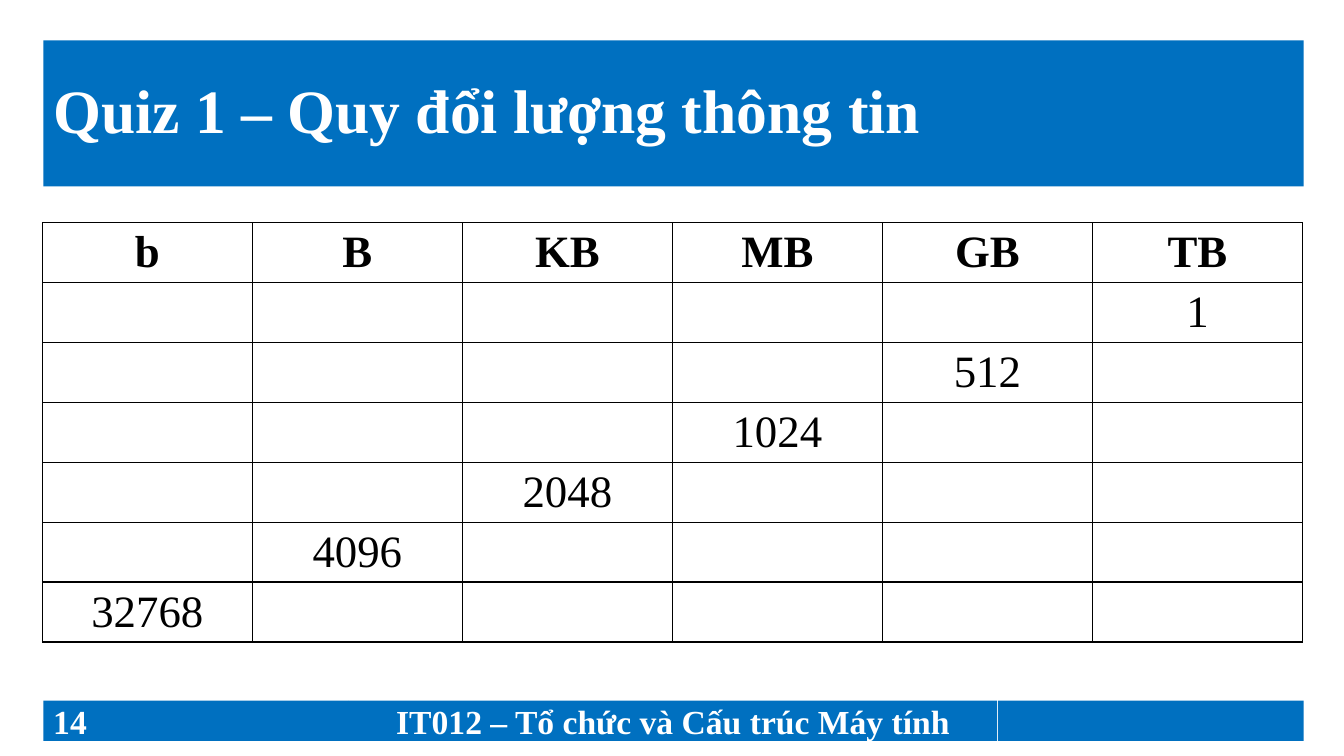
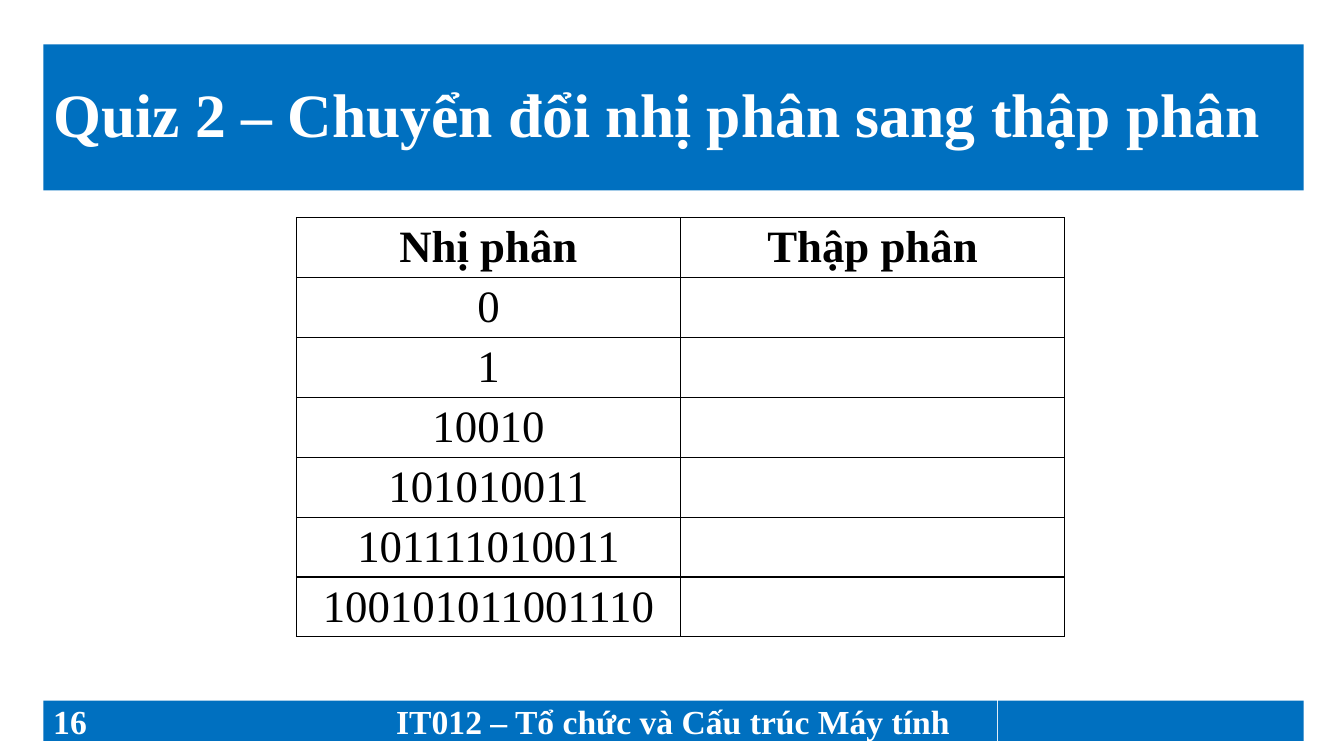
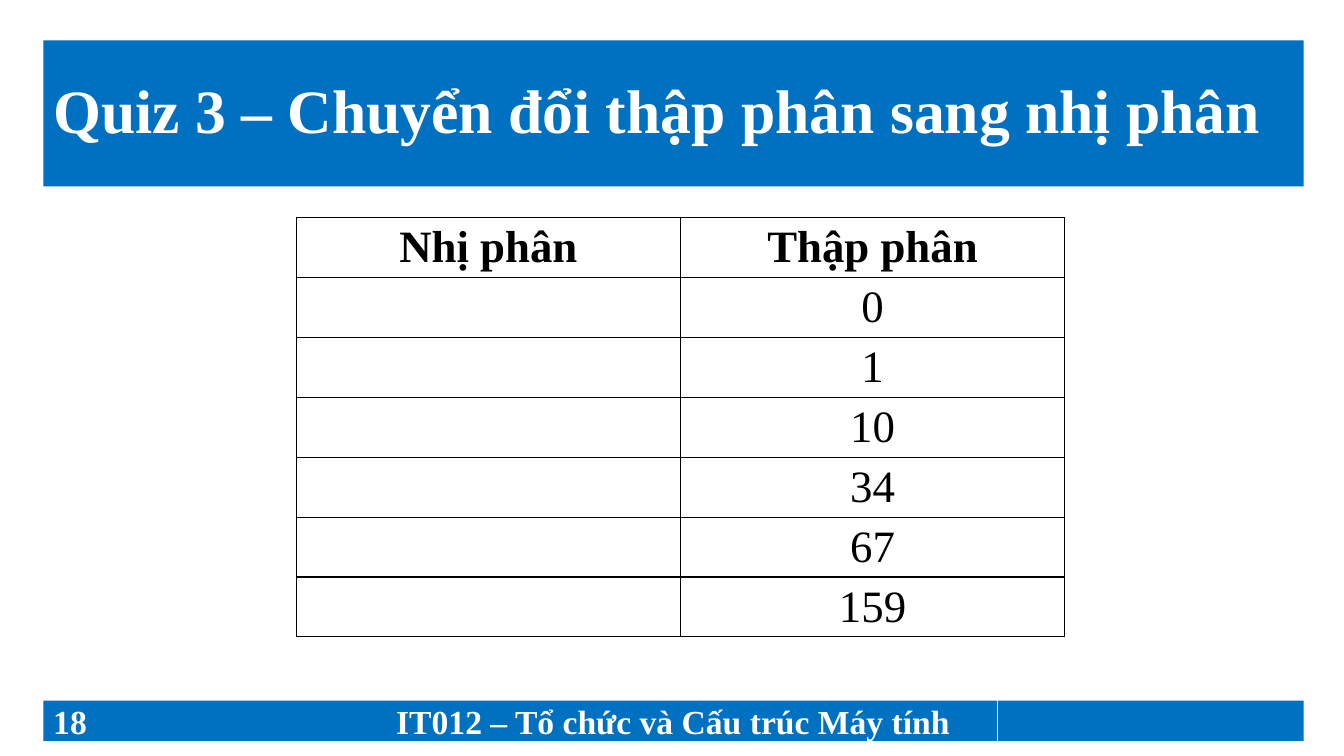
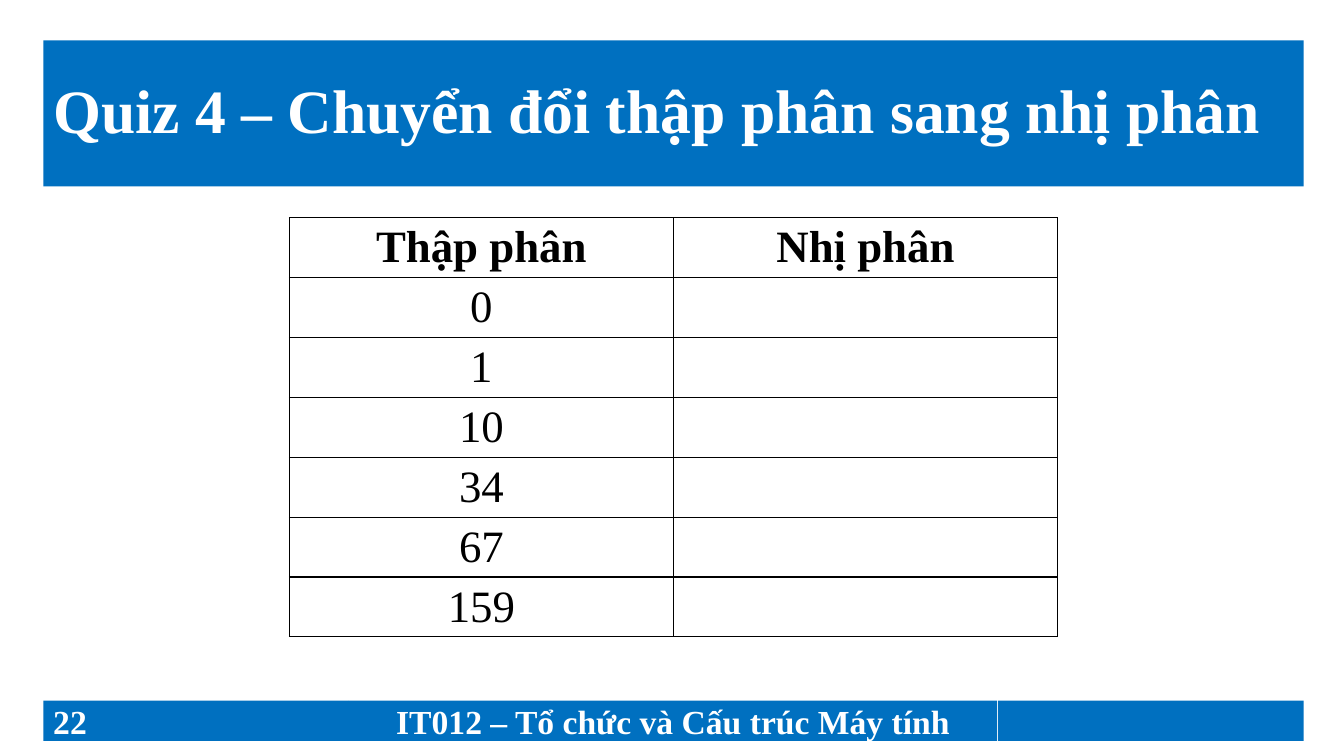
from lxml.etree import SubElement
from pptx import Presentation
from pptx.dml.color import RGBColor
from pptx.enum.shapes import MSO_SHAPE
from pptx.enum.text import MSO_ANCHOR, PP_ALIGN
from pptx.oxml.ns import qn
from pptx.util import Emu, Inches, Pt

# Grid: 100 columns and 100 rows to the inch.
UNIT = Inches(0.01)
WIDE, HIGH = 1333, 750
COLORS = {"band": "0070C0", "light": "FFFFFF", "ink": "000000"}
FACE = "Times New Roman"
TITLE = {"size": Pt(44), "bold": True, "name": FACE}
FOOT = {"size": Pt(24), "bold": True, "name": FACE}
HEAD = {"size": Pt(32), "bold": True, "name": FACE}
BODY = {**HEAD, "bold": False}

COURSE = "IT012 – Tổ chức và Cấu trúc Máy tính"
LEFT, SPAN = 43, 1250
TITLE_TOP, TITLE_HIGH = 40, 145
FOOT_BOX = (LEFT, 695, SPAN, 40)
SIDE, SEAM = 303, 1
GRID_HIGH = 416
BINARY, DECIMAL = "Nhị phân", "Thập phân"
NUMBERS = ["0", "1", "10", "34", "67", "159"]


def scale(box):
    return [Emu(n * UNIT) for n in box]


def write(frame, text, style, color, align=PP_ALIGN.LEFT, lines=1.0):
    para = frame.paragraphs[0]
    para.alignment, para.line_spacing = align, lines
    run = para.add_run()
    run.text = text
    for key, value in style.items():
        setattr(run.font, key, value)
    run.font.color.rgb = RGBColor.from_string(COLORS[color])


def band(slide, box, text="", style=FOOT, **form):
    """Draw a filled bar with optional light text."""
    bar = slide.shapes.add_shape(MSO_SHAPE.RECTANGLE, *scale(box))
    bar.shadow.inherit = False
    bar.fill.solid()
    bar.fill.fore_color.rgb = RGBColor.from_string(COLORS["band"])
    bar.line.fill.background()
    frame = bar.text_frame
    frame.word_wrap, frame.vertical_anchor = True, MSO_ANCHOR.MIDDLE
    if text:
        write(frame, text, style, "light", **form)


def footer(slide, box, number):
    left, top, wide, high = box
    mid = wide - 2 * SIDE - SEAM
    band(slide, (left, top, SIDE, high), str(number))
    band(slide, (left + SIDE, top, mid, high), COURSE, align=PP_ALIGN.CENTER)
    band(slide, (left + wide - SIDE, top, SIDE, high))


def border(cell):
    props = cell._tc.get_or_add_tcPr()
    for spot, side in enumerate(("lnL", "lnR", "lnT", "lnB")):
        line = SubElement(props, qn("a:" + side), w=str(Pt(1)))
        fill = SubElement(line, qn("a:solidFill"))
        SubElement(fill, qn("a:srgbClr"), val=COLORS["ink"])
        props.insert(spot, line)


def grid(slide, box, rows):
    """Draw a ruled table whose first row is the heading."""
    shape = slide.shapes.add_table(len(rows), len(rows[0]), *scale(box))
    table = shape.table
    table.first_row = table.horz_banding = False
    for r, row in enumerate(rows):
        for c, text in enumerate(row):
            cell = table.cell(r, c)
            cell.fill.background()
            cell.margin_top = cell.margin_bottom = 0
            cell.vertical_anchor = MSO_ANCHOR.MIDDLE
            border(cell)
            if text:
                write(cell.text_frame, text, BODY if r else HEAD, "ink",
                      PP_ALIGN.CENTER)


def stair(heads, values):
    """Place one value a row, from the last column back to the first."""
    last = len(heads) - 1
    return [heads] + [[value if c == last - r else "" for c in range(last + 1)]
                      for r, value in enumerate(values)]


def column(heads, values, spot):
    """Fill one column and leave the others for answers."""
    return [heads] + [[value if c == spot else "" for c in range(len(heads))]
                      for value in values]


def quiz(deck, number, title, box, rows, drop=0):
    slide = deck.slides.add_slide(deck.slide_layouts[6])
    band(slide, (LEFT, TITLE_TOP + drop, SPAN, TITLE_HIGH), title, TITLE,
         lines=0.9)
    grid(slide, box, rows)
    footer(slide, FOOT_BOX, number)


def main():
    deck = Presentation()
    deck.slide_width, deck.slide_height = scale((WIDE, HIGH))
    pair = (294, 216, 762, GRID_HIGH)
    quiz(deck, 14, "Quiz 1 – Quy đổi lượng thông tin",
         (42, 221, SPAN, GRID_HIGH),
         stair(["b", "B", "KB", "MB", "GB", "TB"],
               ["1", "512", "1024", "2048", "4096", "32768"]))
    quiz(deck, 16, "Quiz 2 – Chuyển đổi nhị phân sang thập phân", pair,
         column([BINARY, DECIMAL],
                ["0", "1", "10010", "101010011", "101111010011",
                 "100101011001110"], 0), drop=4)
    quiz(deck, 18, "Quiz 3 – Chuyển đổi thập phân sang nhị phân", pair,
         column([BINARY, DECIMAL], NUMBERS, 1))
    quiz(deck, 22, "Quiz 4 – Chuyển đổi thập phân sang nhị phân",
         (287, *pair[1:]), column([DECIMAL, BINARY], NUMBERS, 0))
    deck.save("out.pptx")


if __name__ == "__main__":
    main()
